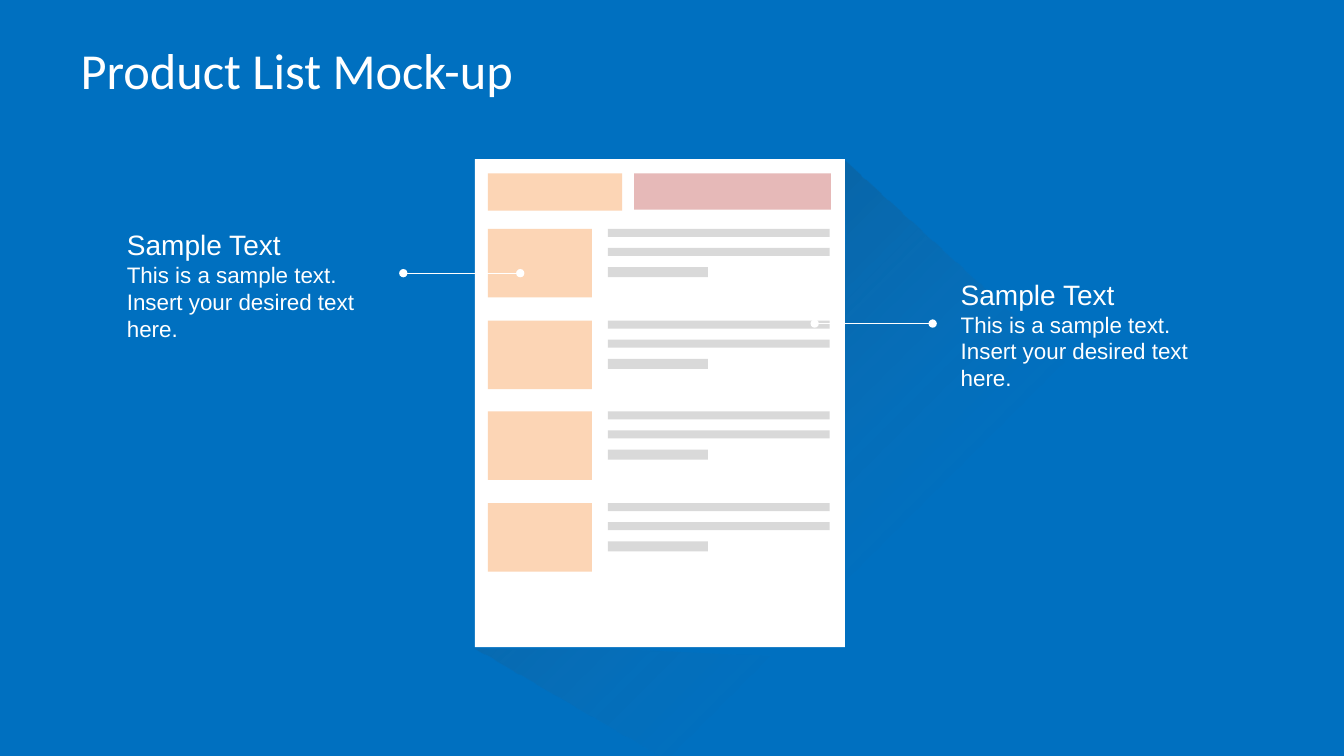
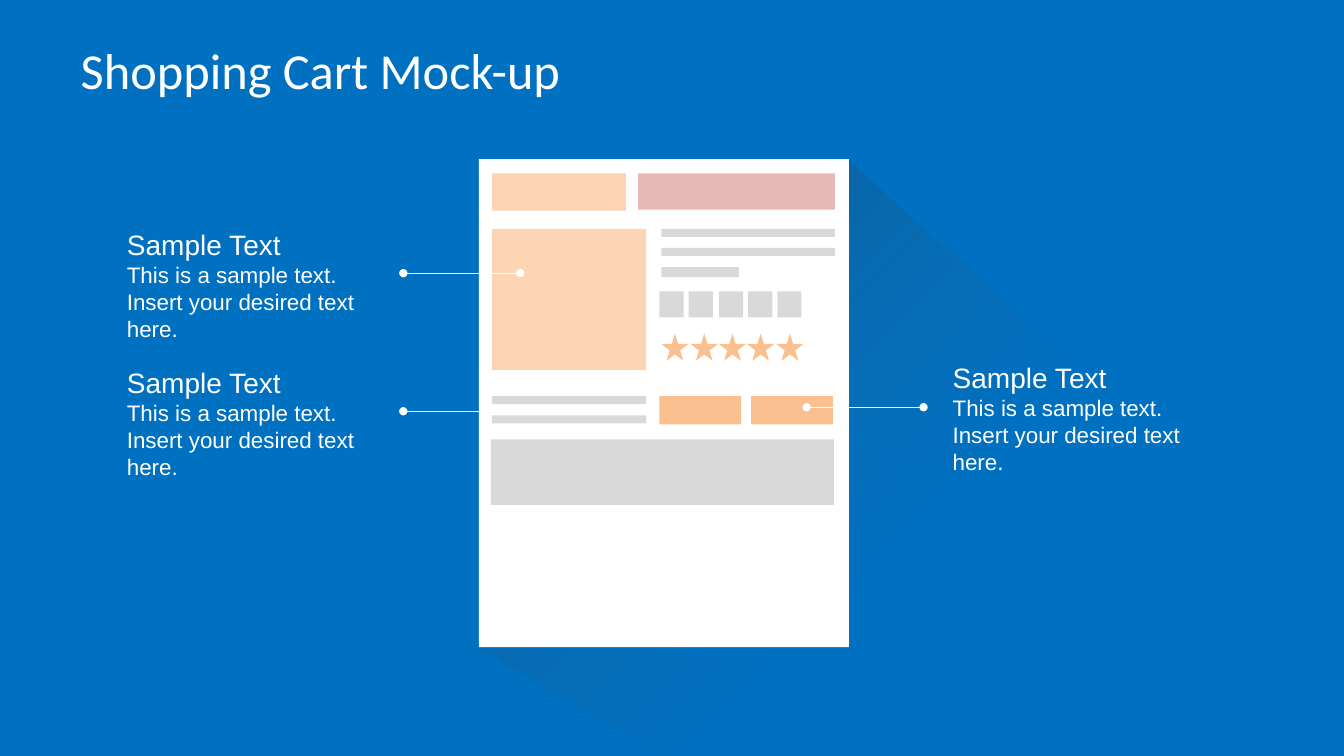
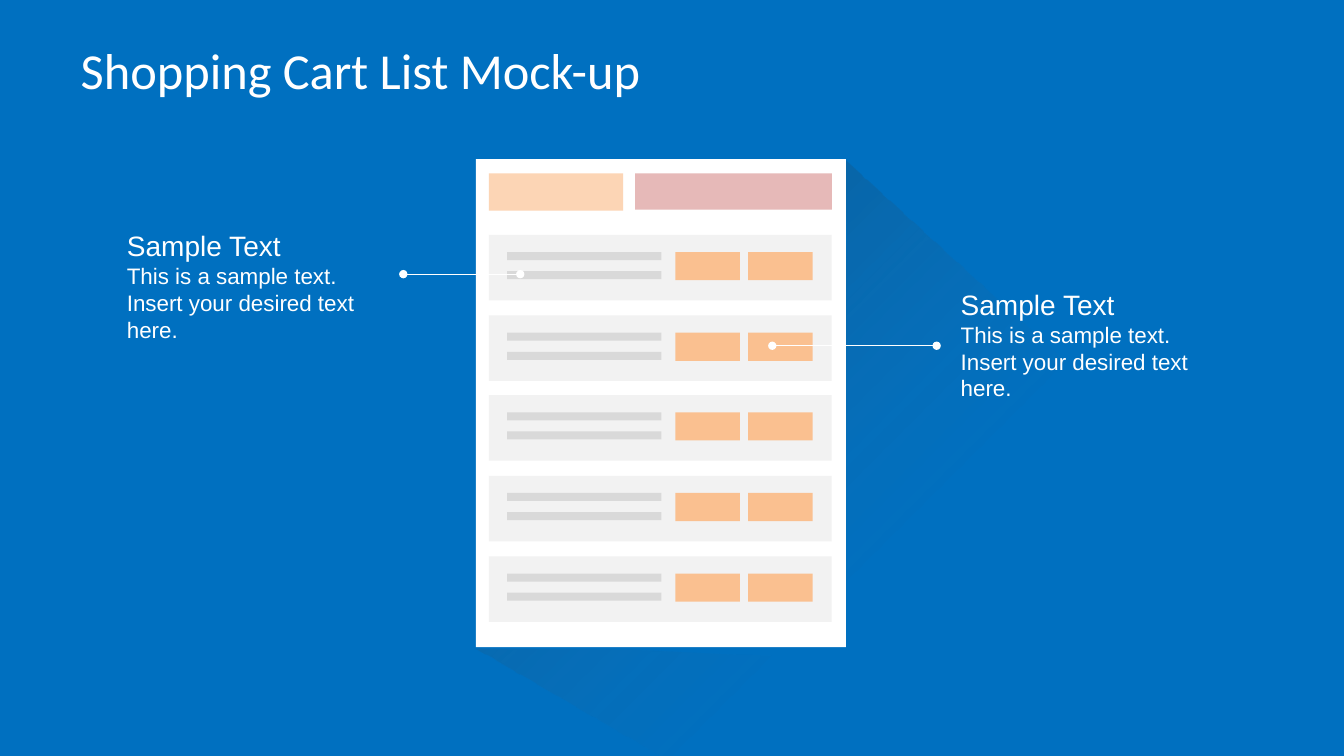
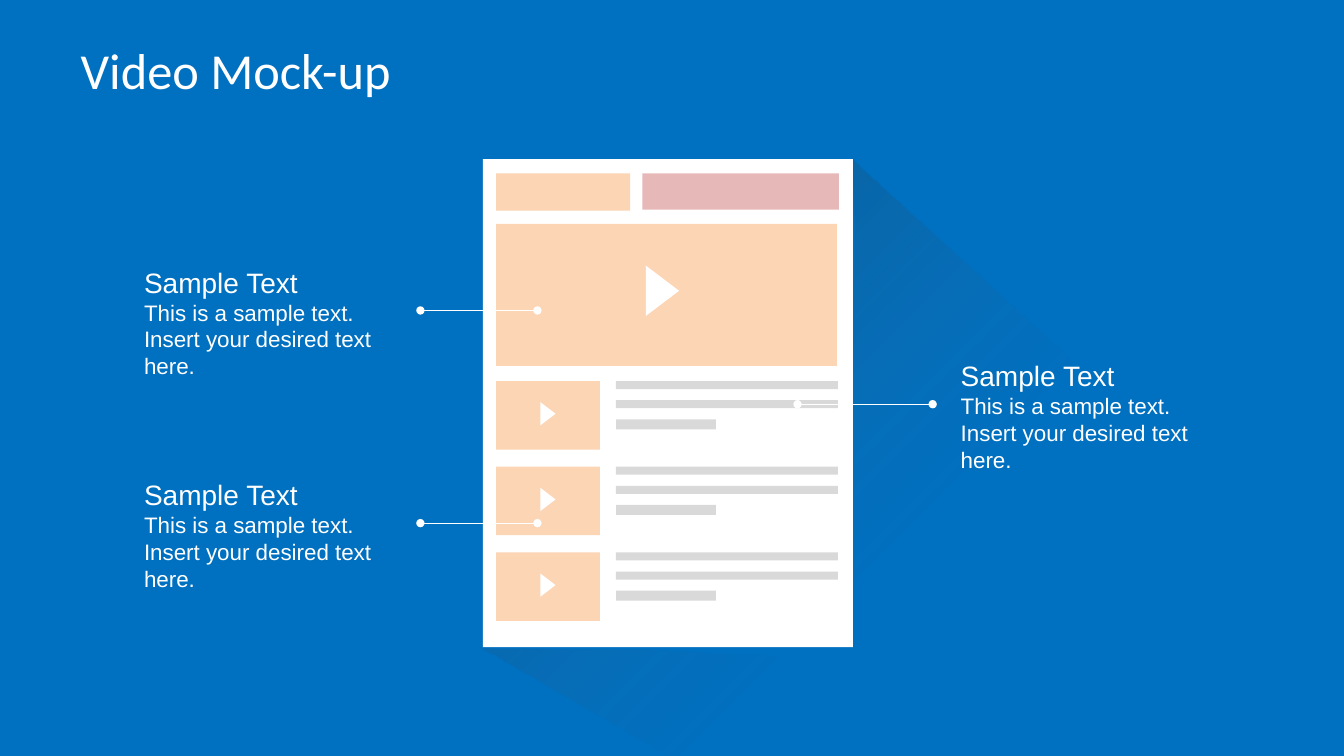
import pptx
import pptx.dml.color
import pptx.enum.shapes
import pptx.enum.text
import pptx.oxml.ns
import pptx.util
from lxml import etree

RGB = pptx.dml.color.RGBColor
SHAPE = pptx.enum.shapes.MSO_SHAPE
qn = pptx.oxml.ns.qn

BLUE = RGB(0x00, 0x70, 0xC0)
WHITE = RGB(0xFF, 0xFF, 0xFF)
BLACK = RGB(0x00, 0x00, 0x00)
SHADE = RGB(0x6B, 0x6B, 0x6B)
PEACH = RGB(0xFC, 0xD5, 0xB5)
ORANGE = RGB(0xFA, 0xC0, 0x90)
PINK = RGB(0xE6, 0xB9, 0xB8)
GRAY = RGB(0xD9, 0xD9, 0xD9)
PALE = RGB(0xF2, 0xF2, 0xF2)

EMU_PER_PX = 9144  # 100 px to the inch
PAGE_TOP, PAGE_WIDTH, PAGE_HEIGHT = 158, 367, 484
LONG_SHADOW = [(0, 484), (222, 613), (630, 599), (727, 330), (366, 0),
               (368, 75), (365, 229), (367, 431), (361, 473), (321, 493),
               (160, 485)]
CAPTION = [("Sample Text", 20), ("This is a sample text.", 16),
           ("Insert your desired text here.", 16)]


def px(length):
    return pptx.util.Emu(length * EMU_PER_PX)


def spread(first, last, count):
    """Return count evenly spaced positions from first to last."""
    return [round(first + i * (last - first) / (count - 1)) for i in range(count)]


class MockupDeck:
    """Shared style, plus the slide and mock-up page being drawn."""

    def __init__(self):
        self.prs = pptx.Presentation()
        self.prs.slide_width, self.prs.slide_height = px(1333), px(750)
        background = self.prs.slide_master.background.fill
        background.solid()
        background.fore_color.rgb = BLUE
        self.layout = self.prs.slide_layouts[5]
        self.slide = self.page = None
        self.page_left = 0

    def start(self, heading, page_left):
        """Add a slide with its title and an empty mock-up page."""
        self.slide = self.prs.slides.add_slide(self.layout)
        self.title(heading)
        self.page_left = page_left
        self.page = self.slide.shapes.add_group_shape().shapes
        self.long_shadow()
        self.block(0, 0, PAGE_WIDTH, PAGE_HEIGHT, WHITE)
        self.block(13, 14, 133, 37, PEACH)
        self.block(158, 14, 195, 36, PINK)

    def add_text(self, paragraph, text, size, font):
        run = paragraph.add_run()
        run.text = text
        run.font.size = pptx.util.Pt(size)
        run.font.name = font
        run.font.color.rgb = WHITE
        paragraph.alignment = pptx.enum.text.PP_ALIGN.LEFT

    def title(self, heading):
        title = self.slide.shapes.title
        title.left, title.top, title.width, title.height = map(px, (67, 30, 1200, 78))
        frame = title.text_frame
        frame.margin_left = frame.margin_right = px(13)
        frame.margin_top = frame.margin_bottom = px(7)
        frame.vertical_anchor = pptx.enum.text.MSO_ANCHOR.MIDDLE
        frame.auto_size = pptx.enum.text.MSO_AUTO_SIZE.NONE
        self.add_text(frame.paragraphs[0], heading, 36, "Calibri")

    def long_shadow(self):
        outline = self.page.build_freeform(*LONG_SHADOW[0], scale=float(EMU_PER_PX))
        outline.add_line_segments(LONG_SHADOW[1:], close=True)
        shadow = outline.convert_to_shape(px(self.page_left), px(PAGE_TOP))
        shadow.shadow.inherit = False
        shadow.line.fill.background()
        shadow.fill.gradient()
        shadow.fill.gradient_angle = 315
        stops = shadow.fill.gradient_stops
        for stop, color, position in zip(stops, (BLACK, SHADE), (0, 0.59)):
            stop.color.rgb = color
            stop.position = position
        for color, alpha in zip(shadow.element.iter(qn("a:srgbClr")), ("30000", "0")):
            etree.SubElement(color, qn("a:alpha")).set("val", alpha)

    def block(self, x, y, width, height, color, kind=SHAPE.RECTANGLE, rotation=0):
        """Draw a borderless shape, placed from the page's top left corner."""
        block = self.page.add_shape(kind, px(self.page_left + x), px(PAGE_TOP + y),
                                    px(width), px(height))
        block.shadow.inherit = False
        block.fill.solid()
        block.fill.fore_color.rgb = color
        block.line.fill.background()
        block.rotation = rotation

    def text_lines(self, x, y, width, last_width=0):
        """Draw two gray bars, and a shorter third one if it has a width."""
        for row in range(2):
            self.block(x, y + 19 * row, width, 8, GRAY)
        if last_width:
            self.block(x, y + 38, last_width, 10, GRAY)

    def list_item(self, y):
        self.block(13, y, 103, 68, PEACH)
        self.text_lines(132, y, 220, 99)

    def play_button(self, x, y, width, height):
        self.block(x, y, width, height, WHITE, SHAPE.ISOSCELES_TRIANGLE, 90)

    def callout(self, left, top, start, end, drop=50):
        """Add a caption and its pointer, drop px below the caption's top."""
        caption = self.slide.shapes.add_textbox(px(left), px(top), px(271), px(125))
        frame = caption.text_frame
        frame.word_wrap = True
        frame.auto_size = pptx.enum.text.MSO_AUTO_SIZE.SHAPE_TO_FIT_TEXT
        for i, (text, size) in enumerate(CAPTION):
            paragraph = frame.add_paragraph() if i else frame.paragraphs[0]
            self.add_text(paragraph, text, size, "Arial")

        pointer = self.slide.shapes.add_connector(
            pptx.enum.shapes.MSO_CONNECTOR.STRAIGHT,
            px(start), px(top + drop), px(end), px(top + drop))
        pointer.line.color.rgb = WHITE
        pointer.line.width = pptx.util.Pt(0.75)
        line = pointer.element.spPr.find(qn("a:ln"))
        for tip in ("a:headEnd", "a:tailEnd"):
            etree.SubElement(line, qn(tip)).set("type", "oval")
        etree.SubElement(pointer.element.spPr, qn("a:effectLst"))

    def left_callout(self, left, top):
        self.callout(left, top, left + 400, left + 284)


def product_list(deck):
    deck.start("Product List Mock-up", 471)
    for y in spread(69, 341, 4):
        deck.list_item(y)
    deck.left_callout(116, 221)
    deck.callout(943, 270, 925, 808, 51)


def shopping_cart(deck):
    deck.start("Shopping Cart Mock-up", 475)
    deck.block(13, 69, 153, 140, PEACH)
    deck.text_lines(181, 69, 172, 77)
    for x in spread(179, 296, 5):
        deck.block(x, 131, 24, 26, GRAY)
    for x in spread(181, 295, 5):
        deck.block(x, 173, 27, 27, ORANGE, SHAPE.STAR_5_POINT)
    deck.text_lines(13, 235, 153)
    for x in (179, 270):
        deck.block(x, 235, 81, 28, ORANGE)
    deck.block(12, 278, 340, 65, GRAY)
    deck.left_callout(116, 221)
    deck.left_callout(116, 358)
    deck.callout(935, 353, 916, 800, 51)


def shopping_cart_list(deck):
    deck.start("Shopping Cart List Mock-up", 472)
    for y in spread(75, 394, 5):
        deck.block(13, y, 340, 65, PALE)
        deck.text_lines(31, y + 17, 153)
        for x in (198, 270):
            deck.block(x, y + 17, 64, 28, ORANGE)
    deck.left_callout(116, 222)
    deck.callout(943, 280, 929, 766, 63)


def video(deck):
    deck.start("Video Mock-up", 479)
    deck.block(13, 64, 338, 141, PEACH)
    deck.play_button(153, 114, 50, 33)
    for y in spread(220, 390, 3):
        deck.list_item(y)
        deck.play_button(53, y + 25, 23, 15)
    deck.left_callout(133, 258)
    deck.left_callout(133, 469)
    deck.callout(943, 351, 925, 791)


def main():
    deck = MockupDeck()
    for build in (product_list, shopping_cart, shopping_cart_list, video):
        build(deck)
    deck.prs.save("out.pptx")


if __name__ == "__main__":
    main()
